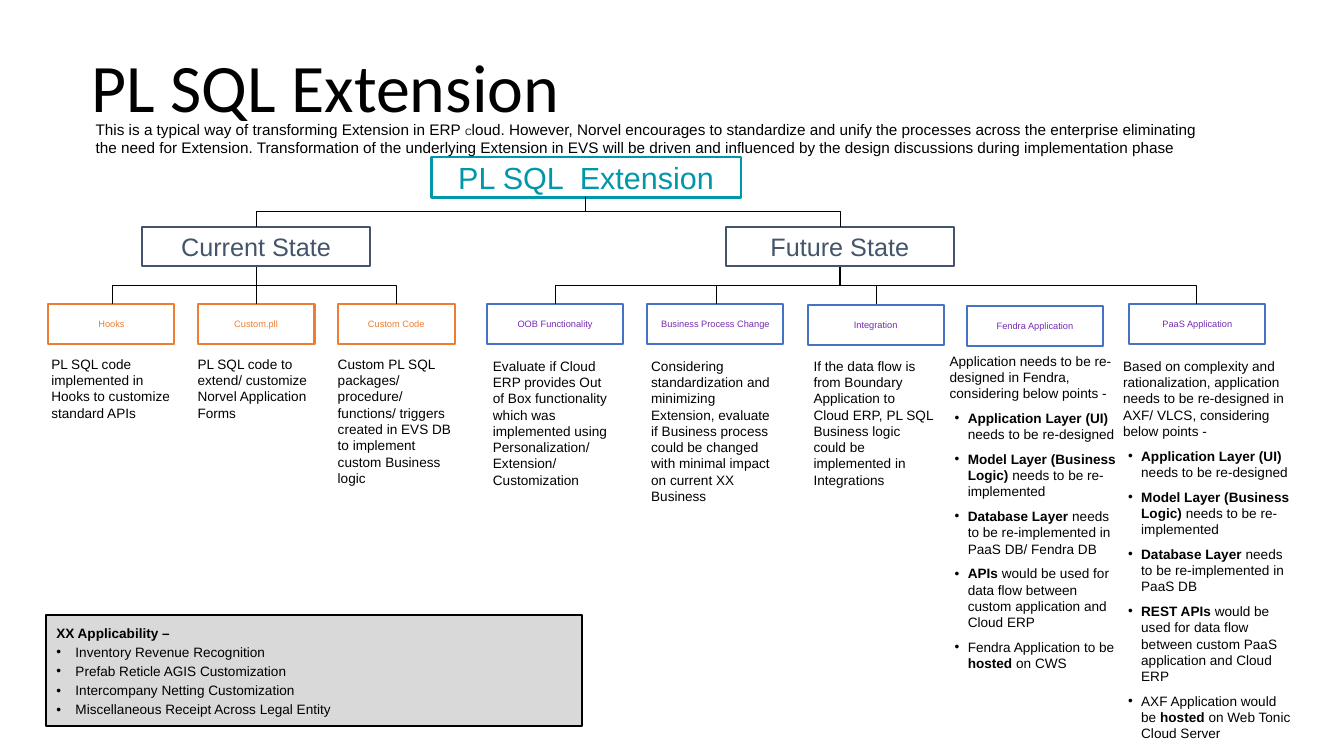
"""Build the PL SQL Extension slide: a state tree with notes under each branch."""
from lxml import etree
from pptx import Presentation
from pptx.dml.color import RGBColor
from pptx.enum.shapes import MSO_CONNECTOR as CONNECTOR, MSO_SHAPE as SHAPE
from pptx.enum.text import MSO_ANCHOR as ANCHOR, PP_ALIGN as ALIGN
from pptx.oxml.ns import qn
from pptx.util import Inches, Pt

BLACK = RGBColor(0x00, 0x00, 0x00)
TEAL = RGBColor(0x00, 0x97, 0xA9)
SLATE = RGBColor(0x44, 0x54, 0x6A)
ORANGE = RGBColor(0xED, 0x7D, 0x31)
BLUE = RGBColor(0x44, 0x72, 0xC4)
PURPLE = RGBColor(0x76, 0x2B, 0xB3)
GREY = RGBColor(0xD9, 0xD9, 0xD9)
NOTE_SIZE = 9.7


def write(frame, paragraphs, size, color, gap=0, inset=0.1, inset_y=None, hang=0.13,
          indent=0.18, align=ALIGN.LEFT, anchor=ANCHOR.TOP, font="Arial"):
    """Fill a frame; ** toggles bold and a leading bullet makes a list item."""
    inset_y = inset if inset_y is None else inset_y
    layout = {"word_wrap": True, "vertical_anchor": anchor,
              "margin_left": Inches(inset), "margin_right": Inches(inset),
              "margin_top": Inches(inset_y), "margin_bottom": Inches(inset_y)}
    for key, value in layout.items():
        setattr(frame, key, value)
    for number, text in enumerate(paragraphs):
        paragraph = frame.add_paragraph() if number else frame.paragraphs[0]
        paragraph.alignment = align
        if number:
            paragraph.space_before = Pt(gap)
        if text.startswith("•"):
            properties = paragraph._p.get_or_add_pPr()
            properties.set("marL", str(Inches(indent)))
            properties.set("indent", str(-Inches(hang)))
            etree.SubElement(properties, qn("a:buFont")).set("typeface", "Arial")
            etree.SubElement(properties, qn("a:buChar")).set("char", "•")
        for part, words in enumerate(text.removeprefix("•").split("**")):
            if words:
                run = paragraph.add_run()
                run.text = words
                look = {"name": font, "size": Pt(size), "bold": part % 2 == 1}
                for key, value in look.items():
                    setattr(run.font, key, value)
                run.font.color.rgb = color


def add_box(left, top, width, height, line, fill=None):
    """Add an outlined rectangle and return its text frame."""
    box = slide.shapes.add_shape(SHAPE.RECTANGLE, *map(Inches, (left, top, width, height)))
    box.shadow.inherit = False
    box.line.color.rgb = line
    box.line.width = Pt(1.5)
    if fill is None:
        box.fill.background()
    else:
        box.fill.solid()
        box.fill.fore_color.rgb = fill
    return box.text_frame


prs = Presentation()
prs.slide_width, prs.slide_height = Inches(13.33), Inches(7.5)
slide = prs.slides.add_slide(prs.slide_layouts[5])

title = slide.shapes.title
for key, value in {"left": 0.91, "top": 0.44, "width": 10.81, "height": 0.85}.items():
    setattr(title, key, Inches(value))
write(title.text_frame, ["PL SQL Extension"], 48.5, BLACK, inset=0, font="Calibri")

nodes = [
    ("PL SQL  Extension", 4.28, 1.56, 3.07, 0.4, TEAL, TEAL, 21.8),
    ("Current State", 1.41, 2.25, 2.26, 0.39, SLATE, SLATE, 18),
    ("Future State", 7.2, 2.25, 2.26, 0.39, SLATE, SLATE, 18),
]
leaves = [
    ("Hooks", 0.48, 3.02, 1.25, ORANGE, ORANGE),
    ("Custom.pll", 1.96, 3.02, 1.16, ORANGE, ORANGE),
    ("Custom Code", 3.35, 3.02, 1.16, ORANGE, ORANGE),
    ("OOB Functionality", 4.83, 3.02, 1.35, BLUE, PURPLE),
    ("Business Process Change", 6.42, 3.02, 1.35, BLUE, PURPLE),
    ("Integration", 8.01, 3.03, 1.35, BLUE, PURPLE),
    ("Fendra Application", 9.59, 3.04, 1.35, BLUE, PURPLE),
    ("PaaS Application", 11.2, 3.02, 1.35, BLUE, PURPLE),
]
nodes += [(name, left, top, width, 0.39, line, ink, 6.6)
          for name, left, top, width, line, ink in leaves]
for name, left, top, width, height, line, ink, size in nodes:
    write(add_box(left, top, width, height, line), [name], size, ink,
          align=ALIGN.CENTER, anchor=ANCHOR.MIDDLE)

ROOT, CURRENT, FUTURE = 5.81, 2.54, 8.33
branches = [
    (ROOT, 1.95, 2.25, (CURRENT, FUTURE)),
    (CURRENT, 2.65, 3.02, (1.11, CURRENT, 3.93)),
    (FUTURE, 2.65, 3.02, (5.51, 7.1, 8.69, 11.87)),
]
for parent, top, bottom, children in branches:
    for child in children:
        drop, spread = bottom - top, abs(child - parent)
        if spread:
            left = (parent + child - drop) / 2
            above = (top + bottom - spread) / 2
            link = slide.shapes.add_connector(CONNECTOR.ELBOW, Inches(left), Inches(above),
                                              Inches(left + drop), Inches(above + spread))
            frame = link._element.spPr.find(qn("a:xfrm"))
            frame.set("rot", str((90 if child < parent else 270) * 60000))
            if child > parent:
                frame.set("flipH", "1")
        else:
            link = slide.shapes.add_connector(CONNECTOR.STRAIGHT, Inches(parent), Inches(top),
                                              Inches(child), Inches(bottom))
        link.line.color.rgb = BLACK
        link.line.width = Pt(0.5)
        etree.SubElement(link._element.spPr, qn("a:effectLst"))

layers = ["•**Application Layer (UI)** needs to be re-designed",
          "•**Model Layer (Business Logic)** needs to be re-implemented"]
notes = [
    (0.51, 3.53, 1.23, 0.65, 0,
     ["PL SQL code implemented in Hooks to customize standard APIs"]),
    (1.96, 3.53, 1.2, 0.65, 0,
     ["PL SQL code to extend/ customize Norvel Application Forms"]),
    (3.35, 3.53, 1.2, 1.31, 0,
     ["Custom PL SQL packages/ procedure/ functions/ triggers created in EVS DB "
      "to implement custom Business logic"]),
    (4.79, 3.5, 1.39, 1.41, 0.1,
     ["Evaluate if Cloud ERP provides Out of Box functionality which was implemented "
      "using Personalization/ Extension/ Customization"]),
    (6.36, 3.5, 1.39, 1.57, 0.1,
     ["Considering standardization and minimizing Extension, evaluate if Business process "
      "could be changed with minimal impact on current XX Business"]),
    (7.97, 3.5, 1.39, 1.41, 0.1,
     ["If the data flow is from Boundary Application to Cloud ERP, PL SQL Business logic "
      "could be implemented in Integrations"]),
    (9.32, 3.45, 1.88, 3.3, 0.1,
     ["Application needs to be re-designed in Fendra, considering below points -", *layers,
      "•**Database Layer **needs to be re-implemented in PaaS DB/ Fendra DB",
      "•**APIs **would be used for data flow between custom application and Cloud ERP",
      "•Fendra Application to be **hosted **on CWS"]),
    (11.04, 3.5, 1.89, 3.92, 0.1,
     ["Based on complexity and rationalization, application needs to be re-designed in "
      "AXF/ VLCS, considering below points -", *layers,
      "•**Database Layer **needs to be re-implemented in PaaS DB",
      "•**REST APIs **would be used for data flow between custom PaaS application and Cloud ERP",
      "•AXF Application would be **hosted **on Web Tonic Cloud Server"]),
]
for left, top, width, height, inset, paragraphs in notes:
    note = slide.shapes.add_textbox(*map(Inches, (left, top, width, height)))
    write(note.text_frame, paragraphs, NOTE_SIZE, BLACK, gap=6, inset=inset, inset_y=inset / 2)

intro = slide.shapes.add_textbox(*map(Inches, (0.85, 1.14, 11.21, 0.47))).text_frame
write(intro, ["This is a typical way of transforming Extension in ERP **C**loud. However, Norvel "
              "encourages to standardize and unify the processes across the enterprise eliminating "
              "the need for Extension. Transformation of the underlying Extension in EVS will be "
              "driven and influenced by the design discussions during implementation phase"],
      10.9, BLACK, inset_y=0.05)
small_cap = intro.paragraphs[0].runs[1].font
small_cap.size, small_cap.bold = Pt(6.6), False

write(add_box(0.46, 6.1, 5.31, 1.1, BLACK, GREY),
      ["**XX Applicability –**", "•Inventory Revenue Recognition",
       "•Prefab Reticle AGIS Customization", "•Intercompany Netting Customization",
       "•Miscellaneous Receipt Across Legal Entity"],
      NOTE_SIZE, BLACK, gap=2, hang=0.19, indent=0.19)

prs.save("out.pptx")
